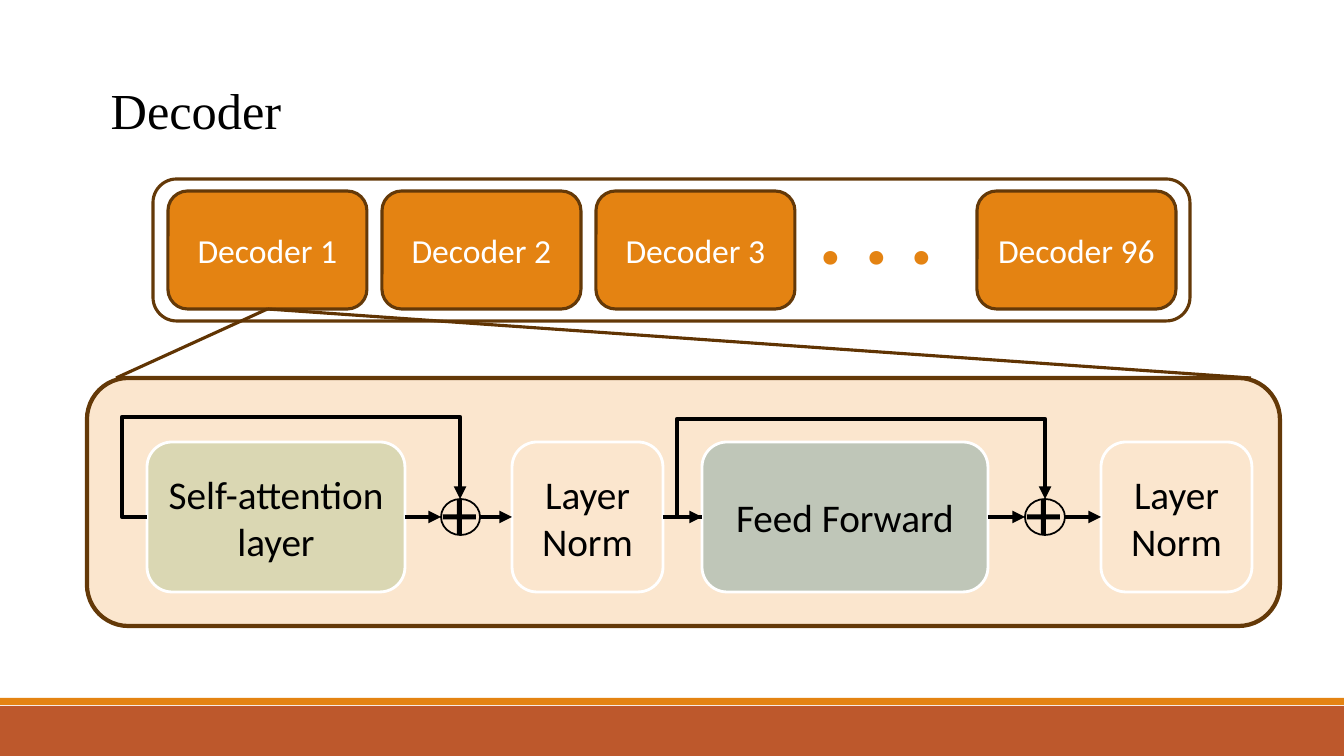
from dataclasses import dataclass
from typing import Optional

from lxml.etree import SubElement
from pptx import Presentation
from pptx.dml.color import RGBColor
from pptx.enum.shapes import MSO_CONNECTOR, MSO_SHAPE
from pptx.enum.text import MSO_ANCHOR, MSO_AUTO_SIZE, PP_ALIGN
from pptx.oxml.ns import qn
from pptx.util import Emu, Pt

EMU_PER_INCH = 914400
PX_PER_INCH = 100.8
MIDDLE = 517
BLOCK_TOP, BLOCK_HEIGHT = 442, 150
BOTTOM, LEFT, RIGHT = 2, 1, 3


@dataclass(frozen=True)
class Theme:
    orange: str = "E48312"
    rust: str = "BD582C"
    brown: str = "643908"
    zoom_line: str = "603403"
    cream: str = "FBE6CE"
    olive: str = "DAD7B3"
    sage: str = "BFC6B8"
    white: str = "FFFFFF"
    black: str = "000000"
    body_font: str = "Calibri"
    title_font: str = "Times New Roman"
    title_size: int = 36
    decoder_size: int = 24
    block_size: int = 28
    dots_size: int = 66


@dataclass(frozen=True)
class Box:
    left: int
    top: int
    width: int
    height: int


@dataclass(frozen=True)
class Block:
    text: str
    left: int
    width: int
    fill: str


@dataclass(frozen=True)
class Residual:
    start: int
    outer: int
    top: int
    circle: Box


THEME = Theme()
DECODERS = [(f"Decoder {number}", 168 + 214 * (number - 1)) for number in (1, 2, 3)]
DECODERS.append(("Decoder 96", 977))
BLOCKS = [
    Block("Self-attention layer", 147, 258, THEME.olive),
    Block("Layer Norm", 512, 151, THEME.cream),
    Block("Feed Forward", 702, 286, THEME.sage),
    Block("Layer Norm", 1101, 151, THEME.cream),
]
RESIDUALS = [
    Residual(147, 122, 417, Box(441, 499, 39, 36)),
    Residual(702, 677, 419, Box(1025, 499, 40, 36)),
]


def px(length: int) -> Emu:
    return Emu(round(length * EMU_PER_INCH / PX_PER_INCH))


def write_text(shape, text: str, *, size: int, color: str, font: str = THEME.body_font,
               bold: bool = False, anchor=MSO_ANCHOR.MIDDLE) -> None:
    frame = shape.text_frame
    frame.vertical_anchor = anchor
    paragraph = frame.paragraphs[0]
    paragraph.alignment = PP_ALIGN.CENTER
    run = paragraph.add_run()
    run.text = text
    run.font.size = Pt(size)
    run.font.name = font
    run.font.bold = bold
    run.font.color.rgb = RGBColor.from_string(color)


def add_box(slide, kind, box: Box, fill: Optional[str] = None,
            line: Optional[str] = None, weight: float = 1):
    shape = slide.shapes.add_shape(kind, px(box.left), px(box.top), px(box.width), px(box.height))
    shape.shadow.inherit = False
    if fill:
        shape.fill.solid()
        shape.fill.fore_color.rgb = RGBColor.from_string(fill)
    else:
        shape.fill.background()
    if line:
        shape.line.color.rgb = RGBColor.from_string(line)
        shape.line.width = Pt(weight)
    else:
        shape.line.fill.background()
    return shape


def add_line(slide, start: tuple[int, int], end: tuple[int, int], *, color: str = THEME.black,
             weight: float = 3, arrow: bool = True, kind=MSO_CONNECTOR.STRAIGHT):
    connector = slide.shapes.add_connector(kind, px(start[0]), px(start[1]), px(end[0]), px(end[1]))
    connector.line.color.rgb = RGBColor.from_string(color)
    connector.line.width = Pt(weight)
    if arrow:
        SubElement(connector.line._get_or_add_ln(), qn("a:tailEnd"), type="triangle")
    SubElement(connector._element.spPr, qn("a:effectLst"))
    return connector


def add_residual(slide, residual: Residual) -> None:
    circle = residual.circle
    end = circle.left + circle.width // 2
    connector = add_line(slide, (residual.start, MIDDLE), (end, circle.top), kind=MSO_CONNECTOR.ELBOW)
    properties = connector._element.spPr
    transform = properties.find(qn("a:xfrm"))
    transform.attrib.pop("flipV")
    transform.set("rot", "10800000")
    transform.set("flipH", "1")
    geometry = properties.find(qn("a:prstGeom"))
    geometry.set("prst", "bentConnector4")
    guides = geometry.find(qn("a:avLst"))
    across = (residual.outer - residual.start) / (end - residual.start)
    up = (MIDDLE - residual.top) / (MIDDLE - circle.top)
    for name, ratio in (("adj1", across), ("adj2", up)):
        SubElement(guides, qn("a:gd"), name=name, fmla=f"val {round(ratio * 100000)}")


def add_title(slide) -> None:
    title = slide.shapes.title
    title.left, title.top, title.width, title.height = px(84), px(74), px(224), px(72)
    title.text_frame.auto_size = MSO_AUTO_SIZE.SHAPE_TO_FIT_TEXT
    write_text(title, "Decoder", size=THEME.title_size, color=THEME.black,
               font=THEME.title_font, anchor=MSO_ANCHOR.TOP)


def add_decoder_stack(slide):
    add_box(slide, MSO_SHAPE.ROUNDED_RECTANGLE, Box(153, 179, 1037, 142), line=THEME.brown, weight=2.25)
    decoders = []
    for text, left in DECODERS:
        decoder = add_box(slide, MSO_SHAPE.ROUNDED_RECTANGLE, Box(left, 191, 199, 118),
                          THEME.orange, THEME.brown, 2.25)
        write_text(decoder, text, size=THEME.decoder_size, color=THEME.white)
        decoders.append(decoder)
    dots = add_box(slide, MSO_SHAPE.ROUNDED_RECTANGLE, Box(672, 188, 430, 79))
    write_text(dots, ". . . ", size=THEME.dots_size, color=THEME.orange, bold=True)
    return decoders[0]


def add_decoder_detail(slide) -> None:
    add_box(slide, MSO_SHAPE.ROUNDED_RECTANGLE, Box(87, 378, 1193, 248), THEME.cream, THEME.brown, 3)
    shapes = []
    for block in BLOCKS:
        shape = add_box(slide, MSO_SHAPE.ROUNDED_RECTANGLE,
                        Box(block.left, BLOCK_TOP, block.width, BLOCK_HEIGHT),
                        block.fill, THEME.white, 2)
        write_text(shape, block.text, size=THEME.block_size, color=THEME.black)
        shapes.append(shape)
    for residual, layer, norm in zip(RESIDUALS, shapes[::2], shapes[1::2]):
        circle = residual.circle
        add_box(slide, MSO_SHAPE.OVAL, circle, line=THEME.black, weight=1.25)
        plus = add_box(slide, MSO_SHAPE.MATH_PLUS, Box(circle.left - 4, 493, 45, 48), THEME.black)
        plus.adjustments[0] = 0.11
        into_sum = add_line(slide, (circle.left, MIDDLE), (circle.left, MIDDLE))
        into_sum.begin_connect(layer, RIGHT)
        out_of_sum = add_line(slide, (circle.left + circle.width, MIDDLE), (norm.left, MIDDLE))
        out_of_sum.end_connect(norm, LEFT)
        add_residual(slide, residual)
    between = add_line(slide, (663, MIDDLE), (702, MIDDLE))
    between.begin_connect(shapes[1], RIGHT)
    between.end_connect(shapes[2], LEFT)


def main() -> None:
    presentation = Presentation()
    presentation.slide_width, presentation.slide_height = px(1344), px(756)
    slide = presentation.slides.add_slide(presentation.slide_layouts[5])
    add_box(slide, MSO_SHAPE.RECTANGLE, Box(0, 706, 1344, 50), THEME.rust)
    add_box(slide, MSO_SHAPE.RECTANGLE, Box(0, 698, 1344, 7), THEME.orange)
    add_title(slide)
    first_decoder = add_decoder_stack(slide)
    add_decoder_detail(slide)
    for corner in (116, 1251):
        zoom = add_line(slide, (267, 309), (corner, 378), color=THEME.zoom_line, weight=2.25, arrow=False)
        zoom.begin_connect(first_decoder, BOTTOM)
    presentation.save("out.pptx")


if __name__ == "__main__":
    main()
